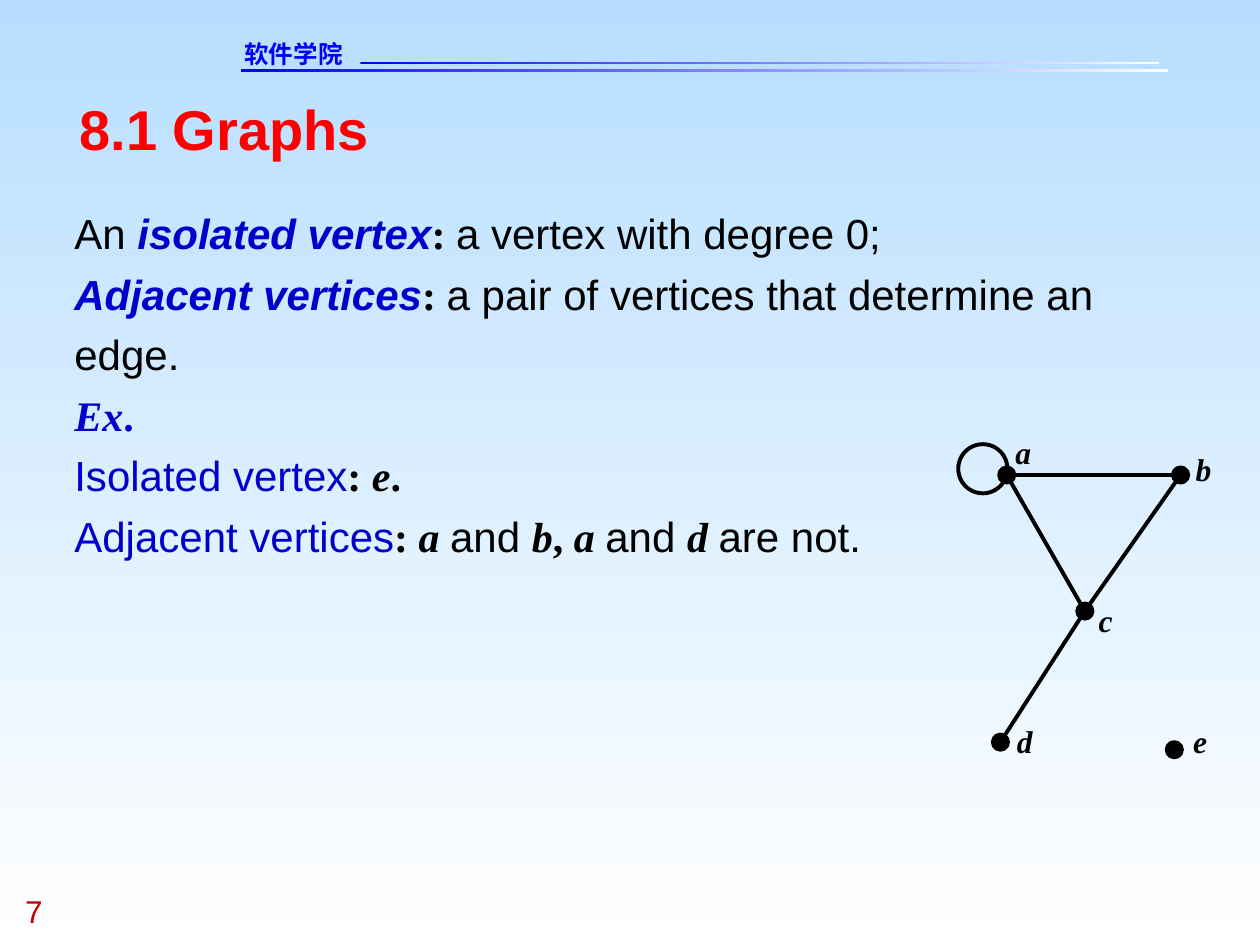
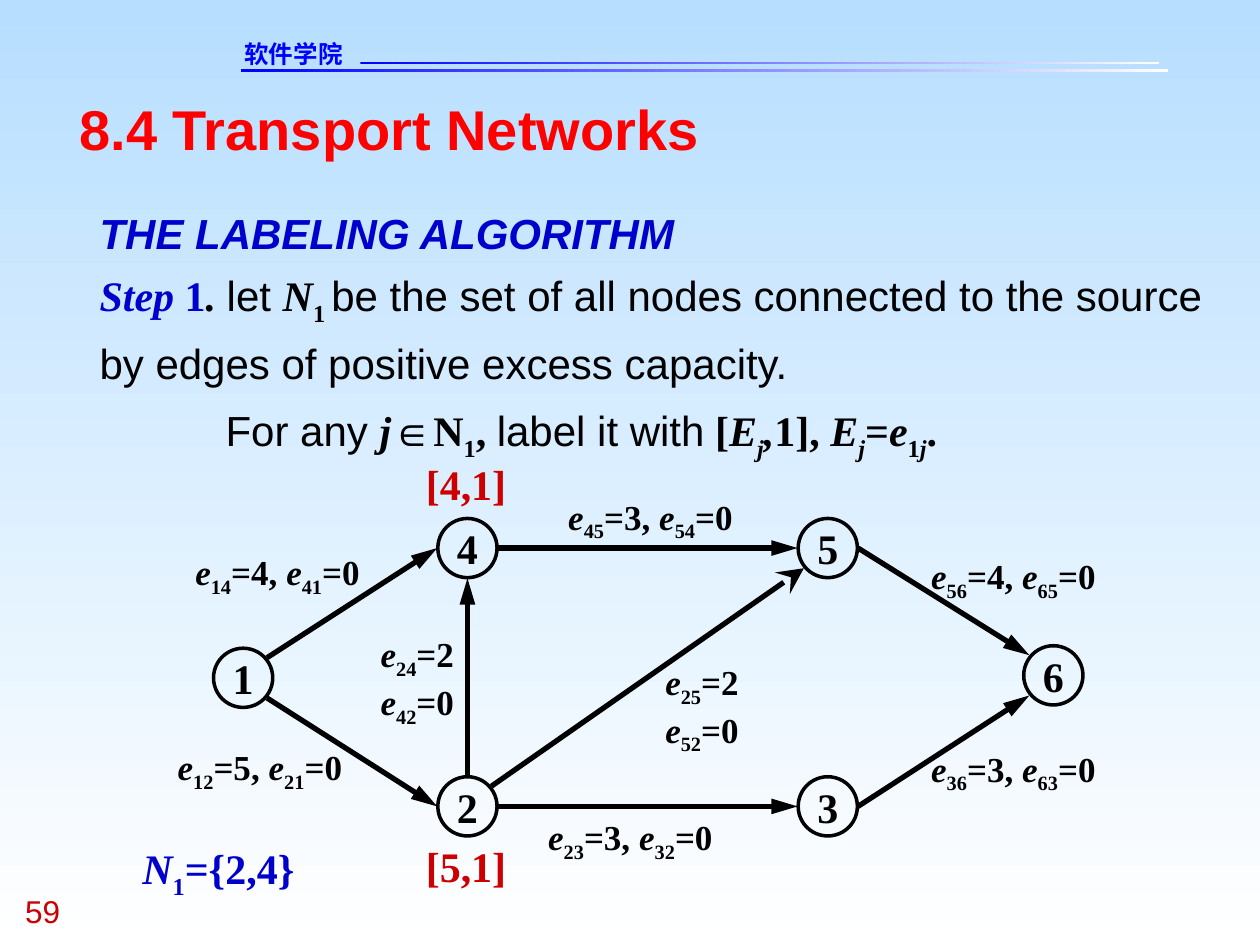
from lxml.etree import SubElement
from pptx import Presentation
from pptx.dml.color import RGBColor
from pptx.enum.shapes import MSO_CONNECTOR as CONN, MSO_SHAPE as SHAPE
from pptx.enum.text import MSO_ANCHOR as ANCHOR, MSO_AUTO_SIZE as AUTO, PP_ALIGN as ALIGN
from pptx.oxml.ns import qn
from pptx.util import Inches, Pt

COLORS = {"sky": "B7DEFF", "white": "FFFFFF", "band": "0000FF", "title": "FF0000",
          "black": "000000", "term": "0000CC", "mark": "CC0000"}
SANS, SERIF, CJK = "Arial", "Times New Roman", "DejaVu Sans"
PLAIN = (SANS, "", "black")
BOLD = (SERIF, "b", "black")
VAR = (SERIF, "bi", "black")
SUB = (SERIF, "b-", "black")
VAR_SUB = (SERIF, "bi-", "black")
TERM = (SANS, "bi", "term")
TERM_PLAIN = (SANS, "", "term")
TERM_SERIF = (SERIF, "b", "term")
TERM_VAR = (SERIF, "bi", "term")
MARK = (SERIF, "b", "mark")


def rgb(name):
    """Return the named colour."""
    return RGBColor.from_string(COLORS[name])


def add_runs(p, runs, size):
    """Add (text, style) runs; flags are b bold, i italic, - subscript."""
    for text, (face, flags, color) in runs:
        r = p.add_run()
        r.text = text
        r.font.name, r.font.size = face, Pt(size)
        r.font.bold, r.font.italic = "b" in flags, "i" in flags
        r.font.color.rgb = rgb(color)
        if "-" in flags:
            r._r.get_or_add_rPr().set("baseline", "-25000")


def clear_frame(tf, wrap=True, anchor=ANCHOR.TOP):
    """Remove the insets of a text frame and set wrapping and anchor."""
    tf.margin_left = tf.margin_top = tf.margin_right = tf.margin_bottom = 0
    tf.word_wrap, tf.auto_size, tf.vertical_anchor = wrap, AUTO.NONE, anchor


def add_text(s, box, lines, size, spacing=None):
    """Add a text box with one list of runs per paragraph."""
    tf = s.shapes.add_textbox(*map(Inches, box)).text_frame
    clear_frame(tf)
    for i, runs in enumerate(lines):
        p = tf.add_paragraph() if i else tf.paragraphs[0]
        if spacing:
            p.line_spacing = spacing
        add_runs(p, runs, size)
    return tf


def set_gradient(fill, start, end, angle):
    """Fill with a two-colour gradient."""
    fill.gradient()
    fill.gradient_angle = angle
    for stop, name in zip(fill.gradient_stops, (start, end)):
        stop.color.rgb = rgb(name)


def add_circle(s, cx, cy, d, weight, fill=None):
    """Add a black-outlined circle around a centre."""
    sp = s.shapes.add_shape(SHAPE.OVAL, *map(Inches, (cx - d / 2, cy - d / 2, d, d)))
    sp.shadow.inherit = False
    if fill:
        sp.fill.solid()
        sp.fill.fore_color.rgb = rgb(fill)
    else:
        sp.fill.background()
    sp.line.color.rgb, sp.line.width = rgb("black"), Pt(weight)
    return sp


def add_line(s, start, end, weight, head=None, head_width="med"):
    """Add a straight black line with an optional arrowhead at its end."""
    c = s.shapes.add_connector(CONN.STRAIGHT, *map(Inches, (*start, *end)))
    c.line.color.rgb, c.line.width = rgb("black"), Pt(weight)
    spPr = c._element.spPr
    if head:
        SubElement(spPr.find(qn("a:ln")), qn("a:tailEnd"), type=head, w=head_width, len="lg")
    SubElement(spPr, qn("a:effectLst"))


def add_page(prs, title, number):
    """Add a slide with the header band, title and page number."""
    s = prs.slides.add_slide(prs.slide_layouts[5])
    for box in ((1.91, 0.55, 7.36, 0.02), (2.86, 0.49, 6.34, 0.02)):
        rule = s.shapes.add_shape(SHAPE.RECTANGLE, *map(Inches, box))
        rule.shadow.inherit = False
        rule.line.fill.background()
        set_gradient(rule.fill, "band", "white", 0)
    add_text(s, (1.94, 0.31, 1.45, 0.23), [[("软件学院", (CJK, "b", "band"))]], 14)
    add_text(s, (0.2, 7.08, 0.75, 0.3), [[(number, (SANS, "", "mark"))]], 18)
    sp = s.shapes.title
    sp.left, sp.top, sp.width, sp.height = map(Inches, (0.63, 0.75, 8.75, 0.53))
    clear_frame(sp.text_frame)
    p = sp.text_frame.paragraphs[0]
    p.alignment = ALIGN.LEFT
    add_runs(p, [(title, (SANS, "b", "title"))], 32)
    return s


def add_vertex_graph(s, x, y):
    """Draw the five-vertex graph with a loop at a, from its top left corner."""
    vertices = {"a": (0.39, 0.33), "b": (1.77, 0.33), "c": (1.01, 1.41),
                "d": (0.34, 2.45), "e": (1.72, 2.51)}
    labels = {"a": (0.46, 0), "b": (1.89, 0.13), "c": (1.12, 1.33),
              "d": (0.47, 2.29), "e": (1.87, 2.29)}
    at = {name: (x + dx, y + dy) for name, (dx, dy) in vertices.items()}
    add_circle(s, x + 0.2, y + 0.28, 0.39, 2.25)
    for start, end in ("ab", "ac", "bc", "cd"):
        add_line(s, at[start], at[end], 2.25)
    for name, (dx, dy) in labels.items():
        add_circle(s, *at[name], 0.12, 2.25, "black")
        add_text(s, (x + dx, y + dy, 0.2, 0.3), [[(name, VAR)]], 18)


def excess_runs(edge, value):
    """Return the runs of one excess capacity such as e14=4."""
    return [("e", VAR), (edge, SUB), (f"={value}", BOLD)]


def add_network(s, x, y):
    """Draw the labelled transport network from its top left corner."""
    nodes = {"1": (0.8, 1.74), "2": (2.58, 2.76), "3": (5.44, 2.76),
             "4": (2.58, 0.71), "5": (5.44, 0.71), "6": (7.23, 1.72)}
    sides = {"N": (0, -0.24), "S": (0, 0.24), "W": (-0.24, 0), "E": (0.24, 0),
             "NE": (0.19, -0.16), "SE": (0.19, 0.16),
             "NW": (-0.19, -0.16), "SW": (-0.19, 0.16)}
    edges = [("14", "NE", "W", 4, (0.42, 0.73), False),
             ("12", "SE", "W", 5, (0.28, 2.28), False),
             ("24", "N", "S", 2, (1.89, 1.38), True),
             ("25", "NE", "SW", 2, (4.15, 1.6), True),
             ("23", "E", "W", 3, (3.22, 2.83), False),
             ("45", "E", "W", 3, (3.38, 0.29), False),
             ("56", "E", "NW", 4, (6.26, 0.76), False),
             ("36", "E", "SW", 3, (6.26, 2.29), False)]

    def anchor(node, side):
        """Return the point on the given side of a node."""
        return tuple(o + n + d for o, n, d in zip((x, y), nodes[node], sides[side]))

    for name, (dx, dy) in nodes.items():
        sp = add_circle(s, x + dx, y + dy, 0.47, 2)
        clear_frame(sp.text_frame, False, ANCHOR.MIDDLE)
        p = sp.text_frame.paragraphs[0]
        p.alignment = ALIGN.CENTER
        add_runs(p, [(name, BOLD)], 24)
    for edge, out, into, excess, (dx, dy), stacked in edges:
        head = ("stealth", "lg") if edge == "25" else ("triangle", "med")
        add_line(s, anchor(edge[0], out), anchor(edge[1], into), 3, *head)
        forward, back = excess_runs(edge, excess), excess_runs(edge[::-1], 0)
        lines = [forward, back] if stacked else [forward + [(", ", BOLD)] + back]
        size = (0.75, 0.76) if stacked else (1.6, 0.38)
        add_text(s, (x + dx, y + dy, *size), lines, 20)
    for text, dy in (("[4,1]", 0), ("[5,1]", 3.03)):
        add_text(s, (x + 2.25, y + dy, 0.8, 0.4), [[(text, MARK)]], 24)
    result = [("N", TERM_VAR), ("1", (SERIF, "b-", "term")), ("={2,4}", TERM_SERIF)]
    add_text(s, (x, y + 3.05, 1.4, 0.46), [result], 24)


def add_graphs_slide(prs):
    """Add the slide on isolated and adjacent vertices."""
    s = add_page(prs, "8.1 Graphs", "7")
    add_text(s, (0.59, 1.57, 8.55, 2.88), [
        [("An ", PLAIN), ("isolated vertex", TERM), (": ", BOLD),
         ("a vertex with degree 0;", PLAIN)],
        [("Adjacent vertices", TERM), (": ", BOLD),
         ("a pair of vertices that determine an edge.", PLAIN)],
        [("Ex", TERM_VAR), (".", TERM_SERIF)],
        [("Isolated vertex", TERM_PLAIN), (": ", BOLD), ("e", VAR), (".", BOLD)],
        [("Adjacent vertices", TERM_PLAIN), (": ", BOLD), ("a ", VAR), ("and ", PLAIN),
         ("b", VAR), (", ", BOLD), ("a ", VAR), ("and ", PLAIN), ("d ", VAR),
         ("are not.", PLAIN)],
    ], 24, 1.2)
    add_vertex_graph(s, 7.6, 3.44)


def add_networks_slide(prs):
    """Add the slide on the first step of the labeling algorithm."""
    s = add_page(prs, "8.4 Transport Networks", "59")
    tf = add_text(s, (0.79, 1.57, 8.79, 2.1), [
        [("THE LABELING ALGORITHM", TERM)],
        [("Step ", TERM_VAR), ("1", TERM_SERIF), (". ", VAR), ("let ", PLAIN),
         ("N", VAR), ("1 ", SUB),
         ("be the set of all nodes connected to the source by edges of positive "
          "excess capacity.", PLAIN)],
        [("For any ", PLAIN), ("j", VAR), ("∈", (SANS, "b", "black")), ("N", BOLD),
         ("1", SUB), (", ", BOLD), ("label it with", PLAIN), (" [", BOLD), ("E", VAR),
         ("j", VAR_SUB), (",", VAR), ("1], ", BOLD), ("E", VAR), ("j", VAR_SUB),
         ("=", BOLD), ("e", VAR), ("1", SUB), ("j", VAR_SUB), (".", BOLD)],
    ], 24, 1.2)
    last = tf.paragraphs[-1]
    last.line_spacing = 1.3
    last._p.get_or_add_pPr().set("indent", str(Inches(1)))
    add_network(s, 1.13, 3.64)


def main():
    """Build and save the presentation."""
    prs = Presentation()
    prs.slide_width, prs.slide_height = Inches(10), Inches(7.5)
    set_gradient(prs.slide_master.background.fill, "sky", "white", 270)
    add_graphs_slide(prs)
    add_networks_slide(prs)
    prs.save("out.pptx")


if __name__ == "__main__":
    main()
